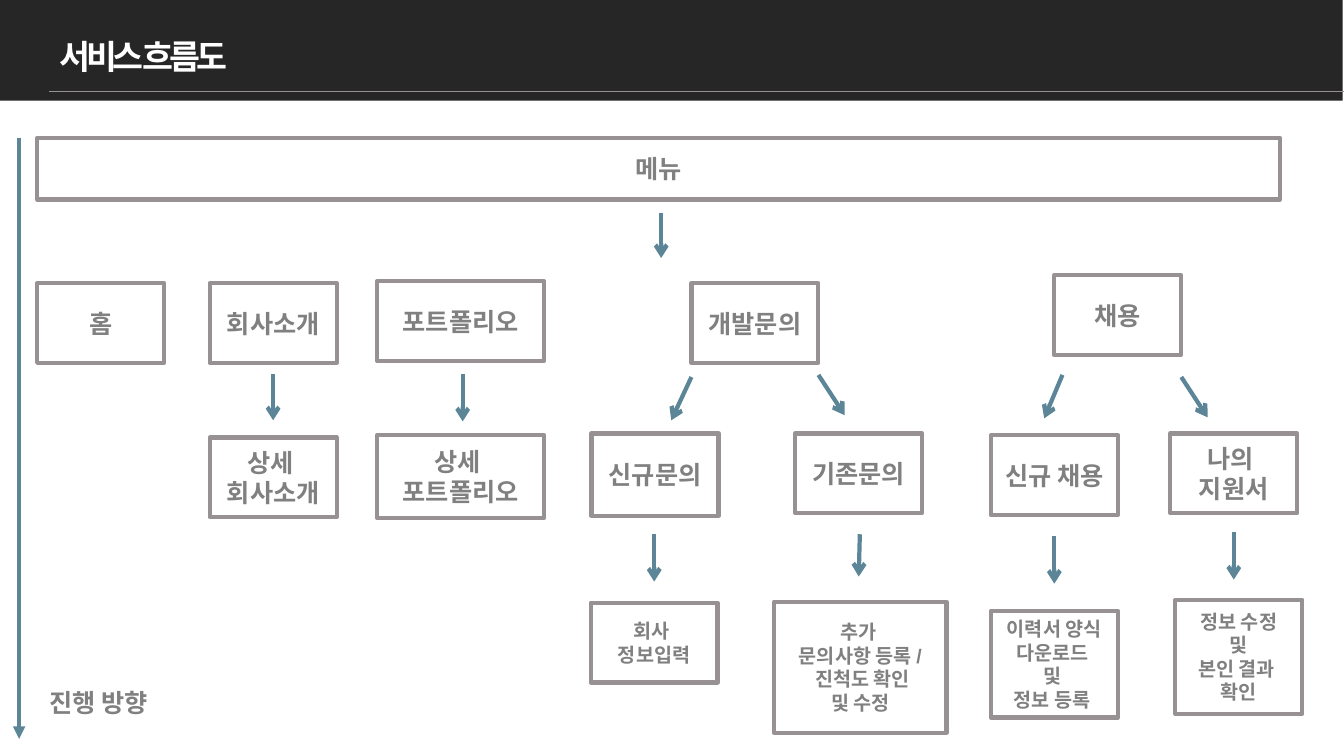
from dataclasses import dataclass

from lxml import etree
from pptx import Presentation
from pptx import util as u
from pptx.dml.color import RGBColor
from pptx.enum import shapes, text
from pptx.oxml.ns import qn

FONT = "Arial"
DARK, WHITE, GRAY, TEXT_GRAY, TEAL = "262626", "FFFFFF", "989194", "808080", "5C8698"
BOX_W, BOX_H = 90.7, 56.9


@dataclass
class Step:
    """A box of the flow; each line of its label is a paragraph."""
    left: float
    top: float
    label: str
    width: float = BOX_W
    height: float = BOX_H
    size: float = 18


@dataclass
class Link:
    x1: float
    y1: float
    x2: float
    y2: float
    color: str = TEAL
    weight: float = 3
    head: str = "arrow"


STEPS = [
    Step(26.6, 98.6, "메뉴", 887.8, 43.9),
    # Main pages
    Step(26.6, 202.3, "홈"),
    Step(149.8, 202.3, "회사소개"),
    Step(269.3, 200.9, "포트폴리오", 119.5),
    Step(493.9, 202.3, "개발문의"),
    Step(753.1, 196.6, "채용"),
    # Sub-pages
    Step(149.8, 312.5, "상세 \n회사소개"),
    Step(269.3, 311, "상세 \n포트폴리오", 119.5, 59),
    Step(422.6, 309.6, "신규문의", height=59),
    Step(568.1, 309.6, "기존문의"),
    Step(707.8, 311, "신규 채용"),
    Step(835.9, 309.6, "나의 \n지원서"),
    # Actions
    Step(421.9, 430.6, "회사 \n정보입력", size=14),
    Step(553, 429.8, "추가 \n문의사항 등록 /\n 진척도 확인\n및 수정", 123.1, 93.6, 14),
    Step(707.8, 436.3, "이력서 양식 다운로드 \n및 \n정보 등록 ", height=76.3, size=14),
    Step(839.5, 428.4, "정보 수정\n및\n본인 결과 \n확인", height=81.4, size=14),
]

LINKS = [
    Link(35.3, 65.5, 960, 65.5, GRAY, 0.5, ""),
    Link(13.7, 98.6, 13.7, 527.8, head="triangle"),
    Link(472.3, 151.9, 472.3, 184.3),
    # Main pages to sub-pages
    Link(195.1, 267.1, 195.1, 300.2),
    Link(330.5, 267.1, 330.5, 301),
    Link(493.9, 269.3, 479.5, 300.2),
    Link(584.6, 267.8, 603.4, 296.6),
    Link(758.9, 267.8, 745.9, 298.8),
    Link(843.8, 269.3, 862.6, 298.1),
    # Sub-pages to actions
    Link(467.3, 381.6, 467.3, 415.4),
    Link(614.2, 381.6, 613.4, 411.8),
    Link(753.1, 383, 753.1, 416.9),
    Link(881.3, 380.2, 881.3, 414),
]


def rgb(color: str) -> RGBColor:
    return RGBColor.from_string(color)


def write(frame, label: str, size: float, color: str, align, spacing: int = 0) -> None:
    """Fill a text frame; spacing is in hundredths of a point."""
    for index, line in enumerate(label.split("\n")):
        paragraph = frame.paragraphs[0] if index == 0 else frame.add_paragraph()
        paragraph.alignment = align
        run = paragraph.add_run()
        run.text = line
        run.font.name, run.font.size, run.font.bold = FONT, u.Pt(size), True
        run.font.color.rgb = rgb(color)
        if spacing:
            run.font._element.set("spc", str(spacing))


def add_rect(slide, left: float, top: float, width: float, height: float):
    rect = slide.shapes.add_shape(shapes.MSO_SHAPE.RECTANGLE, u.Pt(left), u.Pt(top),
                                  u.Pt(width), u.Pt(height))
    rect.shadow.inherit = False
    return rect


def add_header_band(slide) -> None:
    band = add_rect(slide, 0, 0, 959, 72)
    band.fill.solid()
    band.fill.fore_color.rgb = rgb(DARK)
    band.line.fill.background()


def add_step(slide, step: Step) -> None:
    box = add_rect(slide, step.left, step.top, step.width, step.height)
    box.fill.background()
    box.line.color.rgb = rgb(GRAY)
    box.line.width = u.Pt(3)
    frame = box.text_frame
    frame.word_wrap = True
    frame.vertical_anchor = text.MSO_ANCHOR.MIDDLE
    write(frame, step.label, step.size, TEXT_GRAY, text.PP_ALIGN.CENTER)


def add_link(slide, link: Link) -> None:
    line = slide.shapes.add_connector(shapes.MSO_CONNECTOR.STRAIGHT, u.Pt(link.x1),
                                      u.Pt(link.y1), u.Pt(link.x2), u.Pt(link.y2))
    line.line.color.rgb = rgb(link.color)
    line.line.width = u.Pt(link.weight)
    if link.head:
        etree.SubElement(line.line._get_or_add_ln(), qn("a:tailEnd"), type=link.head)
    etree.SubElement(line._element.spPr, qn("a:effectLst"))


def add_caption(slide, left: float, top: float, width: float, height: float, label: str,
                size: float, color: str, align, spacing: int = 0) -> None:
    caption = slide.shapes.add_textbox(u.Pt(left), u.Pt(top), u.Pt(width), u.Pt(height))
    frame = caption.text_frame
    frame.word_wrap = False
    frame.auto_size = text.MSO_AUTO_SIZE.SHAPE_TO_FIT_TEXT
    write(frame, label, size, color, align, spacing)


def main() -> None:
    deck = Presentation()
    deck.slide_width, deck.slide_height = u.Pt(960), u.Pt(540)
    slide = deck.slides.add_slide(deck.slide_layouts[6])
    add_header_band(slide)
    add_caption(slide, 35.3, 22.3, 145.4, 36, "서비스 흐름도", 24, WHITE,
                text.PP_ALIGN.LEFT, -300)
    for step in STEPS:
        add_step(slide, step)
    for link in LINKS:
        add_link(slide, link)
    add_caption(slide, 23.8, 487.4, 93.6, 28.8, "진행 방향", 18, TEXT_GRAY,
                text.PP_ALIGN.CENTER)
    deck.save("out.pptx")


if __name__ == "__main__":
    main()
